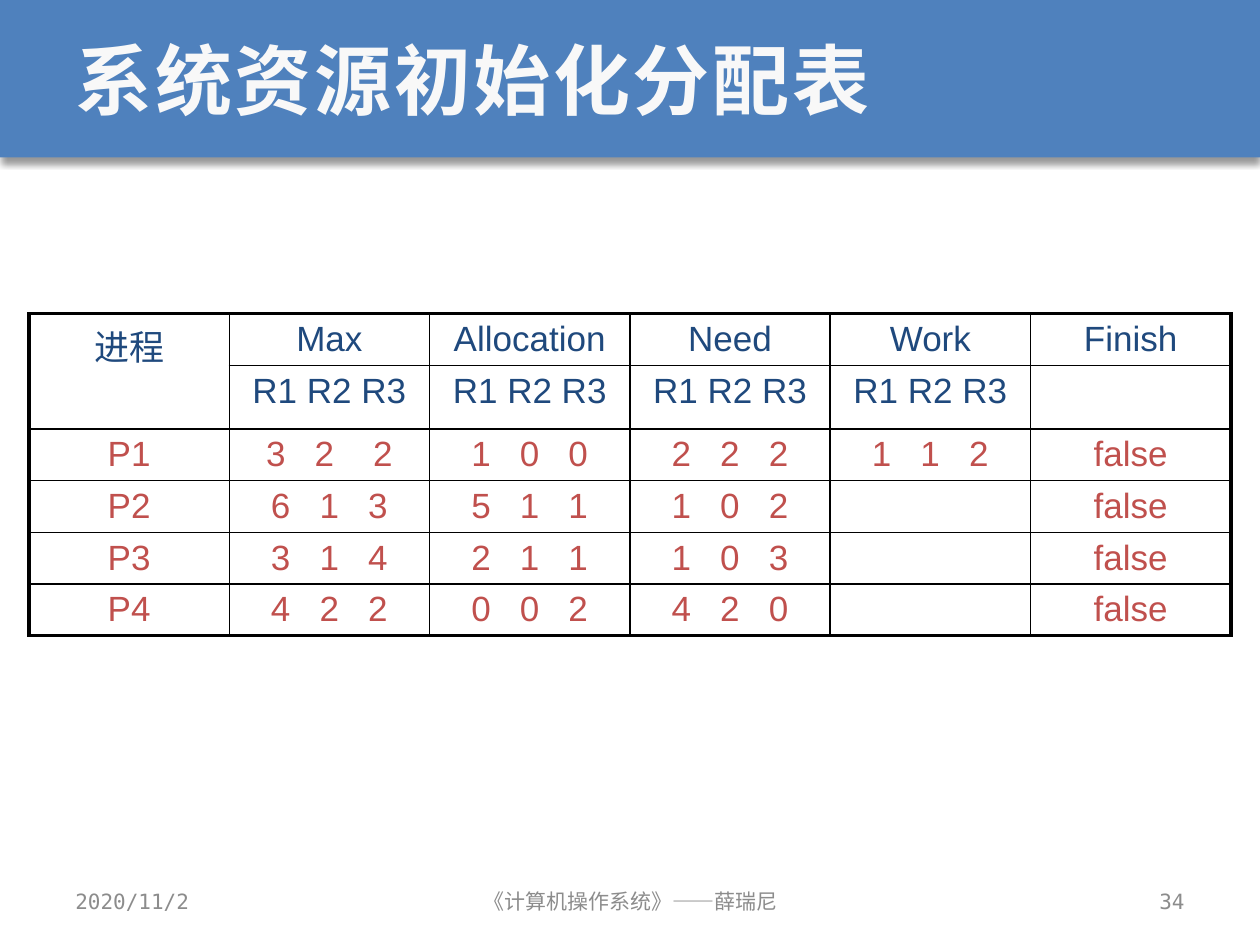
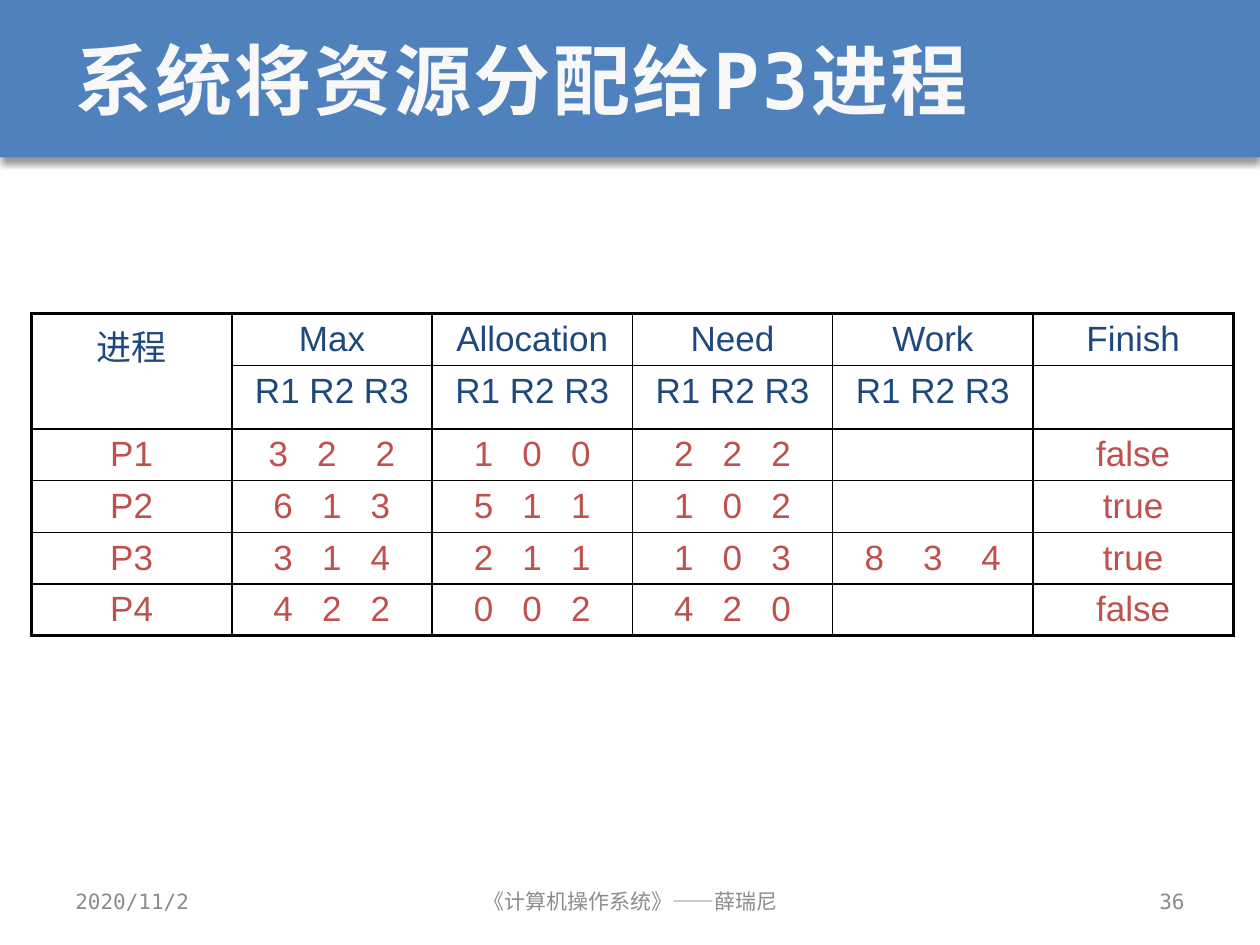
from dataclasses import dataclass

from lxml import etree
from pptx import Presentation
from pptx.dml.color import RGBColor
from pptx.enum import shapes, text
from pptx.oxml import parse_xml
from pptx.oxml.ns import nsdecls, qn
from pptx.util import Emu, Inches, Pt


@dataclass(frozen=True)
class Theme:
    band: str = "4F81BD"
    title: str = "F8F8F8"
    header: str = "1F497D"
    value: str = "C0504D"
    footer: str = "8C8C8C"
    border: str = "000000"
    mono: str = "DejaVu Sans Mono"
    sans: str = "Arial"
    title_size: int = 44
    table_size: int = 20
    footer_size: int = 12
    thin: float = 1
    thick: float = 2.25


THEME = Theme()
ALIGN = text.PP_ALIGN
BAND_HEIGHT = 1.25
TABLE_TOP, COL_WIDTH, ROW_HEIGHT, SUBHEAD_HEIGHT = 2.49, 1.59, 0.41, 0.5

HEADERS = ["进程", "Max", "Allocation", "Need", "Work", "Finish"]
SUBHEADERS = [""] + ["R1 R2 R3"] * 4 + [""]
PROCESSES = [
    ["P1", "3   2    2", "1   0   0", "2   2   2"],
    ["P2", "6   1   3", "5   1   1", "1   0   2"],
    ["P3", "3   1   4", "2   1   1", "1   0   3"],
    ["P4", "4   2   2", "0   0   2", "4   2   0"],
]


def format_text(p, font, size, color, align, bold=False):
    p.alignment = align
    for r in p.runs:
        r.font.name = font
        r.font.size = Pt(size)
        r.font.bold = bold
        r.font.color.rgb = RGBColor.from_string(color)


def add_title(s, title):
    sp = s.shapes.title
    sp.left, sp.top = Inches(0.5), Inches(0)
    sp.width, sp.height = Inches(9), Inches(BAND_HEIGHT)
    tf = sp.text_frame
    tf.text = title
    tf.auto_size = text.MSO_AUTO_SIZE.NONE
    tf.vertical_anchor = text.MSO_ANCHOR.MIDDLE
    p = tf.paragraphs[0]
    format_text(p, THEME.mono, THEME.title_size, THEME.title, ALIGN.LEFT, True)
    for r in p.runs:
        r.font._element.set("spc", "150")


def add_footer(s, left, width, words, align):
    sp = s.shapes.add_textbox(Inches(left), Inches(6.95), Inches(width), Inches(0.4))
    tf = sp.text_frame
    tf.word_wrap = True
    tf.vertical_anchor = text.MSO_ANCHOR.MIDDLE
    tf.text = words
    format_text(tf.paragraphs[0], THEME.mono, THEME.footer_size, THEME.footer, align)


def add_footers(s, number):
    add_footer(s, 0.5, 2.33, "2020/11/2", ALIGN.LEFT)
    add_footer(s, 3.42, 3.17, "《计算机操作系统》——薛瑞尼", ALIGN.CENTER)
    add_footer(s, 7.17, 2.33, str(number), ALIGN.RIGHT)


def set_borders(cell, widths):
    """Draw the cell's edges; widths maps L, R, T, B (in that order) to points."""
    tc_pr = cell._tc.get_or_add_tcPr()
    for i, (side, width) in enumerate(widths.items()):
        tc_pr.insert(i, parse_xml(
            f'<a:ln{side} {nsdecls("a")} w="{Pt(width)}"><a:solidFill>'
            f'<a:srgbClr val="{THEME.border}"/></a:solidFill></a:ln{side}>'))


def add_allocation_table(s, left, work, finish):
    rows = [HEADERS, SUBHEADERS]
    rows += [[*process, w, f] for process, w, f in zip(PROCESSES, work, finish)]
    n_rows, n_cols = len(rows), len(HEADERS)
    heights = [ROW_HEIGHT] * n_rows
    heights[1] = SUBHEAD_HEIGHT
    table = s.shapes.add_table(
        n_rows, n_cols, Inches(left), Inches(TABLE_TOP),
        Inches(COL_WIDTH * n_cols), Inches(sum(heights))).table
    table.first_row = table.horz_banding = False
    for column in table.columns:
        column.width = Inches(COL_WIDTH)

    def edge(is_outer):
        return THEME.thick if is_outer else THEME.thin

    for i, row in enumerate(rows):
        table.rows[i].height = Inches(heights[i])
        color = THEME.header if i < 2 else THEME.value
        for j, words in enumerate(row):
            cell = table.cell(i, j)
            cell.fill.background()
            set_borders(cell, {"L": edge(j == 0), "R": edge(j == n_cols - 1),
                               "T": edge(i == 0), "B": edge(i == n_rows - 1)})
            if words:
                cell.text = words
                format_text(cell.text_frame.paragraphs[0], THEME.sans,
                            THEME.table_size, color, ALIGN.CENTER)
    table.cell(0, 0).merge(table.cell(1, 0))


def add_layout_band(s):
    """Draw the title band, then move it behind everything on the slide's layout."""
    sp = s.shapes.add_shape(shapes.MSO_SHAPE.RECTANGLE, 0, 0,
                            Inches(10), Inches(BAND_HEIGHT))
    sp.fill.solid()
    sp.fill.fore_color.rgb = RGBColor.from_string(THEME.band)
    sp.line.fill.background()
    sp.shadow.inherit = False
    effects = sp._element.spPr.find(qn("a:effectLst"))
    shadow = etree.SubElement(
        effects, qn("a:outerShdw"), blurRad=str(Pt(4)), dist=str(Pt(3)),
        dir="5400000", algn="t", rotWithShape="0")
    black = etree.SubElement(shadow, qn("a:srgbClr"), val="000000")
    etree.SubElement(black, qn("a:alpha"), val="40000")
    s.slide_layout.shapes._spTree.insert(2, sp._element)


def add_slide(prs, title, number, table_left, work, finish):
    s = prs.slides.add_slide(prs.slide_layouts[5])
    add_title(s, title)
    add_allocation_table(s, table_left, work, finish)
    add_footers(s, number)
    return s


def main():
    prs = Presentation()
    prs.slide_width, prs.slide_height = Inches(10), Inches(7.5)
    first = add_slide(prs, "系统资源初始化分配表", 34, 0.23,
                      ["1   1   2", "", "", ""], ["false"] * 4)
    add_slide(prs, "系统将资源分配给P3进程", 36, 0.25,
              ["", "", "8    3    4", ""], ["false", "true", "true", "false"])
    add_layout_band(first)
    prs.save("out.pptx")


if __name__ == "__main__":
    main()
